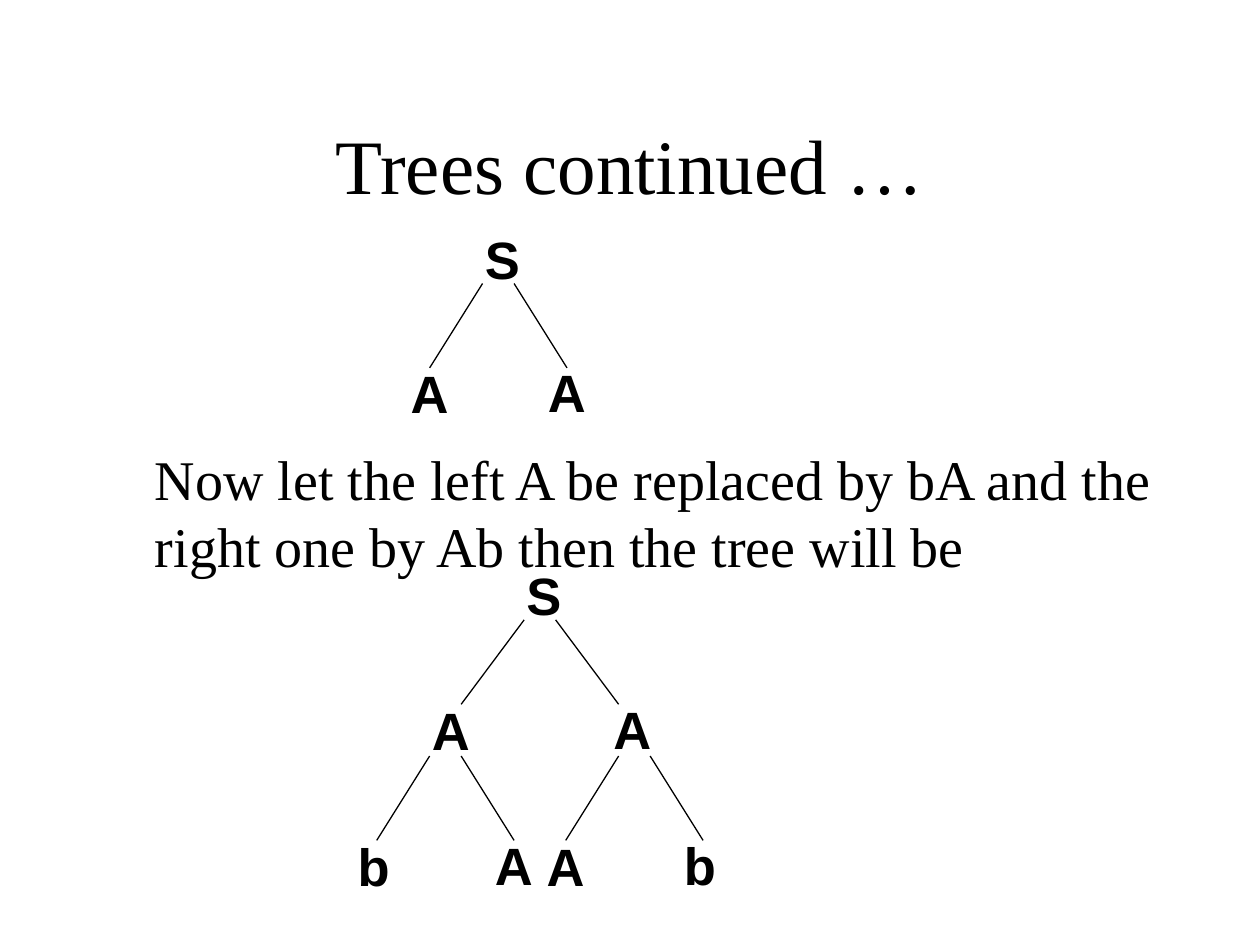
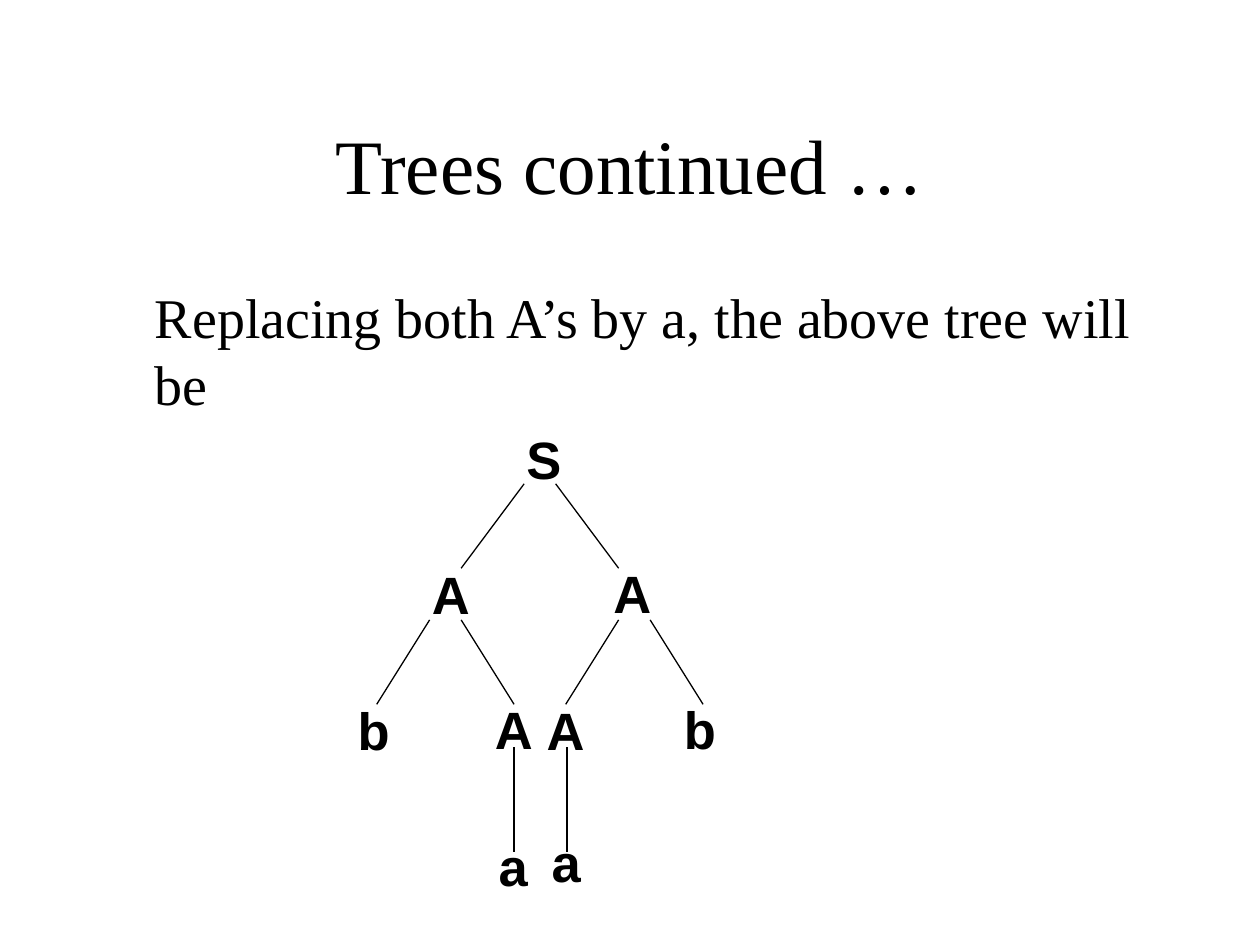
from lxml.etree import SubElement
from pptx import Presentation
from pptx.dml.color import RGBColor
from pptx.enum.shapes import MSO_CONNECTOR as Connector
from pptx.enum.text import MSO_ANCHOR as Anchor, PP_ALIGN as Align
from pptx.oxml.ns import qn
from pptx.util import Inches, Pt


def color(hex_value):
    return RGBColor.from_string(hex_value)


class Deck:
    INK = "000000"
    SERIF = "Times New Roman"
    SANS = "Arial"

    def __init__(self):
        self.presentation = Presentation()
        self.presentation.slide_width = Inches(10)
        self.presentation.slide_height = Inches(7.5)
        self.slide = None

    def add_slide(self, title):
        blank = self.presentation.slide_layouts[6]
        self.slide = self.presentation.slides.add_slide(blank)
        self.text(title, 0.75, 0.67, 8.5, 1.25, size=44, align=Align.CENTER,
                  anchor=Anchor.MIDDLE)

    def text(self, words, left, top, width, height, size=32, font=SERIF,
             bold=False, align=Align.LEFT, anchor=Anchor.TOP,
             inset_left=0.1, inset_top=0.05, line_height=None):
        box = self.slide.shapes.add_textbox(
            Inches(left), Inches(top), Inches(width), Inches(height))
        frame = box.text_frame
        frame.word_wrap = True
        frame.vertical_anchor = anchor
        frame.margin_left = Inches(inset_left)
        frame.margin_top = Inches(inset_top)
        paragraph = frame.paragraphs[0]
        paragraph.alignment = align
        if line_height:
            paragraph.line_spacing = Pt(line_height)
        run = paragraph.add_run()
        run.text = words
        run.font.name = font
        run.font.size = Pt(size)
        run.font.bold = bold
        run.font.color.rgb = color(self.INK)

    def body(self, words, drop=0):
        self.text(words, 0.75, 2.17, 8.5, 4.5, inset_left=0.48,
                  inset_top=0.07 + drop, line_height=38.3)

    def node(self, symbol, left, top, width=0.92):
        self.text(symbol, left, top, width, 0.6, size=30, font=self.SANS,
                  bold=True)

    def branch(self, x1, y1, x2, y2):
        line = self.slide.shapes.add_connector(
            Connector.STRAIGHT, Inches(x1), Inches(y1), Inches(x2), Inches(y2))
        line.line.color.rgb = color(self.INK)
        line.line.width = Pt(0.75)
        SubElement(line._element.spPr, qn("a:effectLst"))

    def fork(self, left, top, children, reach=0.42, gaps=(0.25, 0.25)):
        """Two branches below a node, each ending at a child."""
        ends = (left + 0.08 - reach, left + 0.33 + reach)
        starts = (left + 0.08, left + 0.33)
        drops = (0.57, 0.56)
        for symbol, start, end, gap, drop in zip(children, starts, ends, gaps, drops):
            self.branch(start, top, end, top + 0.67)
            self.node(symbol, end - gap, top + drop)

    def small_tree(self, top):
        self.node("S", 3.75, top)
        self.fork(3.75, top + 0.5, "AA")

    def large_tree(self, top):
        self.node("S", 4.08, top)
        self.fork(4.08, top + 0.5, "AA", reach=0.5, gaps=(0.33, 0.14))
        self.fork(3.33, top + 1.58, "bA")
        self.fork(4.83, top + 1.58, "Ab")


def main():
    deck = Deck()
    title = "Trees continued …"

    deck.add_slide(title)
    deck.body("Now let the left A be replaced by bA and the right one by Ab "
              "then the tree will be", drop=1.29)
    deck.small_tree(1.75)
    deck.large_tree(4.42)

    deck.add_slide(title)
    deck.body("Replacing both A’s by a, the above tree will be")
    deck.large_tree(3.34)
    for stem, leaf_top in ((4.08, 6.57), (4.5, 6.54)):
        deck.branch(stem, 5.93, stem, 6.76)
        deck.node("a", stem - 0.22, leaf_top, width=1.33)

    deck.presentation.save("out.pptx")


if __name__ == "__main__":
    main()
